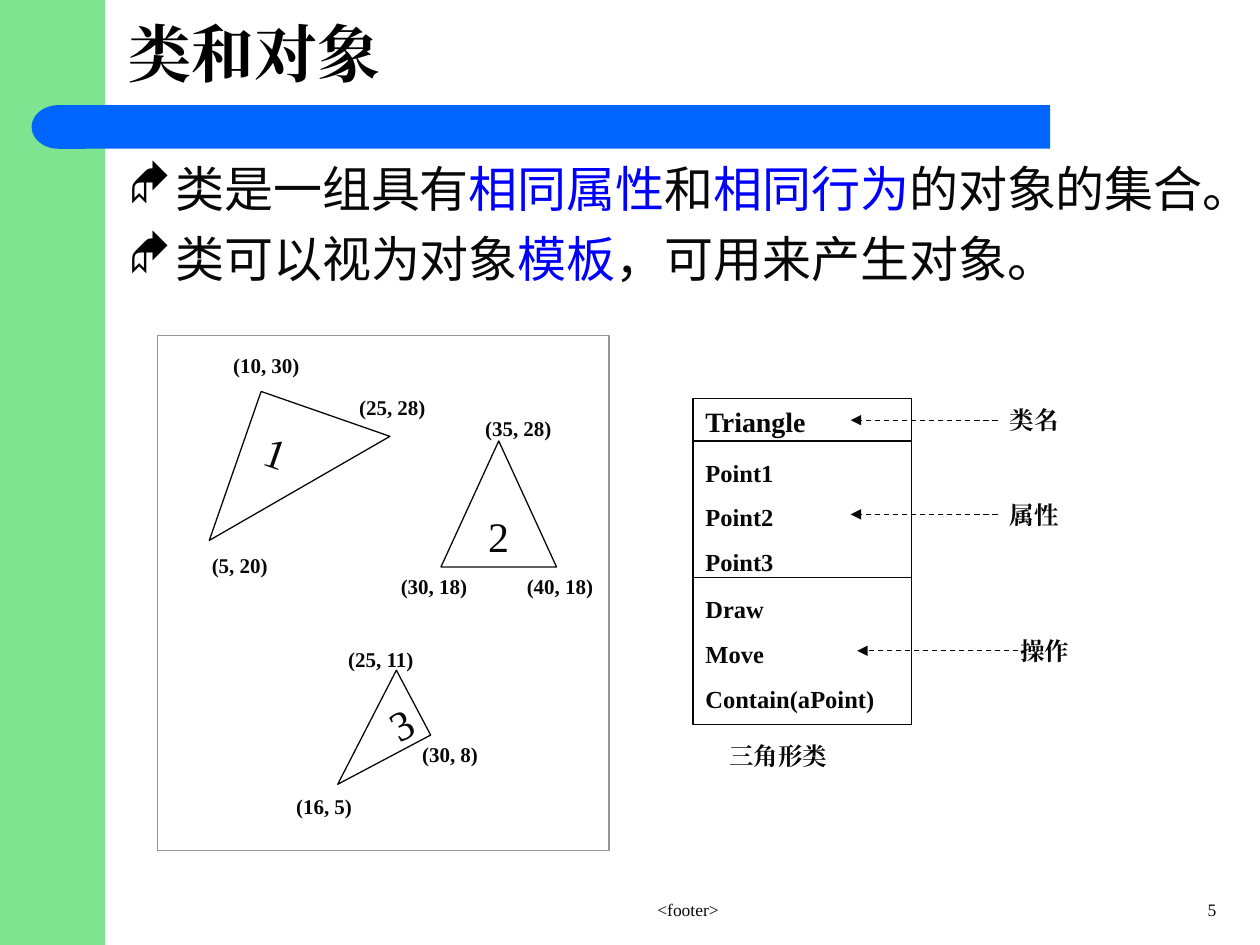
"""Build the slide on classes and objects, with triangle instances and a class diagram."""
import pptx
import pptx.dml.color
import pptx.enum.dml
import pptx.enum.shapes
import pptx.enum.text
import pptx.oxml
import pptx.oxml.ns
import pptx.util

Cm = pptx.util.Cm
Pt = pptx.util.Pt
RGBColor = pptx.dml.color.RGBColor
SHAPE = pptx.enum.shapes.MSO_SHAPE
ALIGN = pptx.enum.text.PP_ALIGN
ANCHOR = pptx.enum.text.MSO_ANCHOR
NO_AUTOFIT = pptx.enum.text.MSO_AUTO_SIZE.NONE

INK = RGBColor(0x08, 0x08, 0x08)
BLACK = RGBColor(0, 0, 0)
WHITE = RGBColor(255, 255, 255)
GREEN = RGBColor(0x7E, 0xE4, 0x8F)
BAR_BLUE = RGBColor(0, 0x66, 0xFF)
TERM_BLUE = RGBColor(0, 0, 255)
GREY = RGBColor(0x96, 0x96, 0x96)

SERIF = "Times New Roman"
SANS = "Noto Sans CJK SC"
NAMESPACE = 'xmlns:a="http://schemas.openxmlformats.org/drawingml/2006/main"'


def add_span(para, text, size, color=INK, bold=False, font=SERIF):
    """Append one formatted run, with the same face for East Asian text."""
    span = para.add_run()
    span.text = text
    values = {"name": font, "size": Pt(size), "bold": bold}
    for name, value in values.items():
        setattr(span.font, name, value)
    span.font.color.rgb = color
    face = pptx.oxml.parse_xml(f'<a:ea {NAMESPACE} typeface="{font}"/>')
    span.font._element.find(pptx.oxml.ns.qn("a:latin")).addnext(face)


def add_text(left, top, width, height, lines, size, bold=True, align=ALIGN.LEFT):
    """Add a wrapping text box with one paragraph for each line."""
    box = slide.shapes.add_textbox(Cm(left), Cm(top), Cm(width), Cm(height))
    frame = box.text_frame
    frame.word_wrap = True
    for index, line in enumerate(lines):
        para = frame.paragraphs[0] if index == 0 else frame.add_paragraph()
        para.alignment = align
        para.space_before = Pt(size * 0.63)
        add_span(para, line, size, bold=bold)


deck = pptx.Presentation()
deck.slide_width = Cm(25.4)
deck.slide_height = Cm(19.05)
slide = deck.slides.add_slide(deck.slide_layouts[1])

title = slide.shapes.title
body = slide.placeholders[1]
for holder, place in (
    (title, (2.33, 0, 22.01, 2.12)),
    (body, (2.33, 2.96, 22.65, 14.61)),
):
    for name, value in zip(("left", "top", "width", "height"), place):
        setattr(holder, name, Cm(value))
    holder.text_frame.auto_size = NO_AUTOFIT

title.text_frame.vertical_anchor = ANCHOR.MIDDLE
title_para = title.text_frame.paragraphs[0]
title_para.alignment = ALIGN.LEFT
add_span(title_para, "类和对象", 36, BLACK, True)

body.text_frame.vertical_anchor = ANCHOR.TOP
body.text_frame.margin_top = Cm(0.26)
points = [
    [("类是一组具有", INK), ("相同属性", TERM_BLUE), ("和", INK),
     ("相同行为", TERM_BLUE), ("的对象的集合。", INK)],
    [("类可以视为对象", INK), ("模板", TERM_BLUE), ("，可用来产生对象。", INK)],
]
for index, spans in enumerate(points):
    para = body.text_frame.paragraphs[0] if index == 0 else body.text_frame.add_paragraph()
    para.line_spacing = Pt(33)
    para.space_before = Pt(7)
    properties = para._p.get_or_add_pPr()
    properties.set("marL", str(Cm(0.95)))
    properties.set("indent", str(Cm(-0.95)))
    for bullet in (
        f'<a:buClr {NAMESPACE}><a:srgbClr val="{BLACK}"/></a:buClr>',
        f'<a:buFont {NAMESPACE} typeface="Wingdings"/>',
        f'<a:buChar {NAMESPACE} char="◆"/>',
    ):
        properties.append(pptx.oxml.parse_xml(bullet))
    for text, color in spans:
        add_span(para, text, 28, color, font=SANS)

shapes = [
    (SHAPE.RECTANGLE, (0, 0, 2.12, 19.05), GREEN, None, {}, 0, ""),
    (SHAPE.RECTANGLE, (1.69, 2.12, 19.48, 0.88), BAR_BLUE, None, {}, 0, ""),
    (SHAPE.FLOWCHART_DELAY, (0.64, 2.12, 1.08, 0.88), BAR_BLUE, None, {}, 0, ""),
    (SHAPE.RECTANGLE, (3.18, 6.77, 9.1, 10.37), WHITE, GREY, {}, 0, ""),
    (SHAPE.RIGHT_TRIANGLE, (4.45, 8.47, 3.18, 2.75), WHITE, INK,
     {"vert": "eaVert", "rot": "10800000"}, 109.2, "1"),
    (SHAPE.RIGHT_TRIANGLE, (6.66, 13.6, 1.48, 2.12), WHITE, INK,
     {"vert": "eaVert"}, 242.1, "3"),
    (SHAPE.ISOSCELES_TRIANGLE, (8.89, 8.89, 2.33, 2.54), WHITE, INK, {}, 0, "2"),
    (SHAPE.RECTANGLE, (13.97, 8.04, 4.4, 6.56), WHITE, INK, {}, 0, ""),
]
for kind, place, fill, line, direction, rotation, number in shapes:
    shape = slide.shapes.add_shape(kind, *map(Cm, place))
    shape.shadow.inherit = False
    shape.rotation = rotation
    shape.fill.solid()
    shape.fill.fore_color.rgb = fill
    if line is None:
        shape.line.fill.background()
    else:
        shape.line.color.rgb = line
        shape.line.width = Pt(0.75)
    if kind == SHAPE.FLOWCHART_DELAY:
        shape.element.xpath(".//a:xfrm")[0].set("flipH", "1")
    if number:
        frame = shape.text_frame
        across, along = (0.13, 0.25) if direction else (0.25, 0.13)
        margins = {"margin_left": across, "margin_right": across,
                   "margin_top": along, "margin_bottom": along}
        for name, value in margins.items():
            setattr(frame, name, Cm(value))
        frame.word_wrap = False
        frame.vertical_anchor = ANCHOR.MIDDLE
        frame.paragraphs[0].alignment = ALIGN.CENTER
        add_span(frame.paragraphs[0], number, 24)
        for name, value in direction.items():
            shape.element.xpath(".//a:bodyPr")[0].set(name, value)

vertices = [
    ("(5, 20)", 4.02, 11.01), ("(10, 30)", 4.45, 6.99), ("(25, 28)", 6.99, 7.83),
    ("(30, 18)", 7.83, 11.43), ("(35, 28)", 9.53, 8.26), ("(40, 18)", 10.37, 11.43),
    ("(16, 5)", 5.72, 15.88), ("(25, 11)", 6.77, 12.91), ("(30, 8)", 8.26, 14.82),
]
for text, left, top in vertices:
    add_text(left, top, 1.91, 0.76, [text], 12)

add_text(13.97, 8.04, 3.98, 0.94, ["Triangle"], 16)
add_text(13.97, 9.1, 3.63, 2.67, ["Point1", "Point2", "Point3"], 14)
add_text(13.97, 11.85, 4.66, 2.67, ["Draw", "Move", "Contain(aPoint)"], 14)
add_text(14.45, 14.82, 3.94, 0.86, ["三角形类"], 14)
add_text(20.11, 8.04, 2.12, 0.86, ["类名"], 14)
add_text(20.11, 9.95, 2.12, 0.86, ["属性"], 14)
add_text(20.32, 12.7, 2.33, 0.86, ["操作"], 14)
add_text(22.86, 17.99, 1.91, 0.64, ["5"], 10, False, ALIGN.RIGHT)
add_text(9.53, 17.99, 8.68, 0.64, ["<footer>"], 10, False, ALIGN.CENTER)

lines = [
    (13.97, 18.37, 8.89, False), (13.97, 18.37, 11.64, False),
    (20.11, 17.15, 8.47, True), (20.11, 17.15, 10.37, True), (20.53, 17.28, 13.12, True),
]
for start, end, level, is_arrow in lines:
    connector = slide.shapes.add_connector(
        pptx.enum.shapes.MSO_CONNECTOR.STRAIGHT, Cm(start), Cm(level), Cm(end), Cm(level))
    connector.line.color.rgb = INK
    connector.line.width = Pt(0.75)
    if is_arrow:
        connector.line.dash_style = pptx.enum.dml.MSO_LINE.DASH
        head = pptx.oxml.parse_xml(f'<a:tailEnd {NAMESPACE} type="triangle"/>')
        connector.element.xpath(".//a:ln")[0].append(head)
    effects = pptx.oxml.parse_xml(f"<a:effectLst {NAMESPACE}/>")
    connector.element.xpath("./p:spPr")[0].append(effects)

deck.save("out.pptx")
